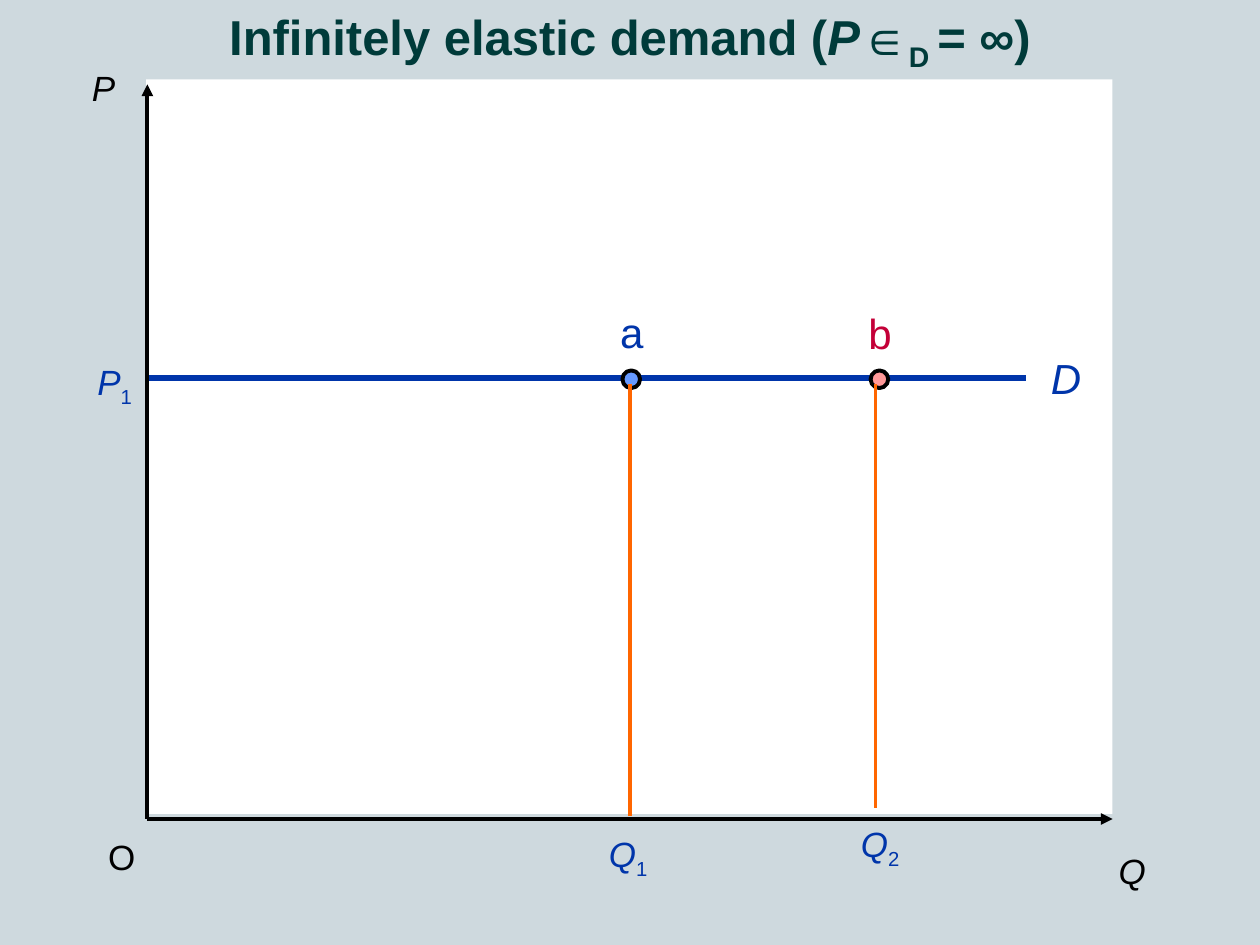
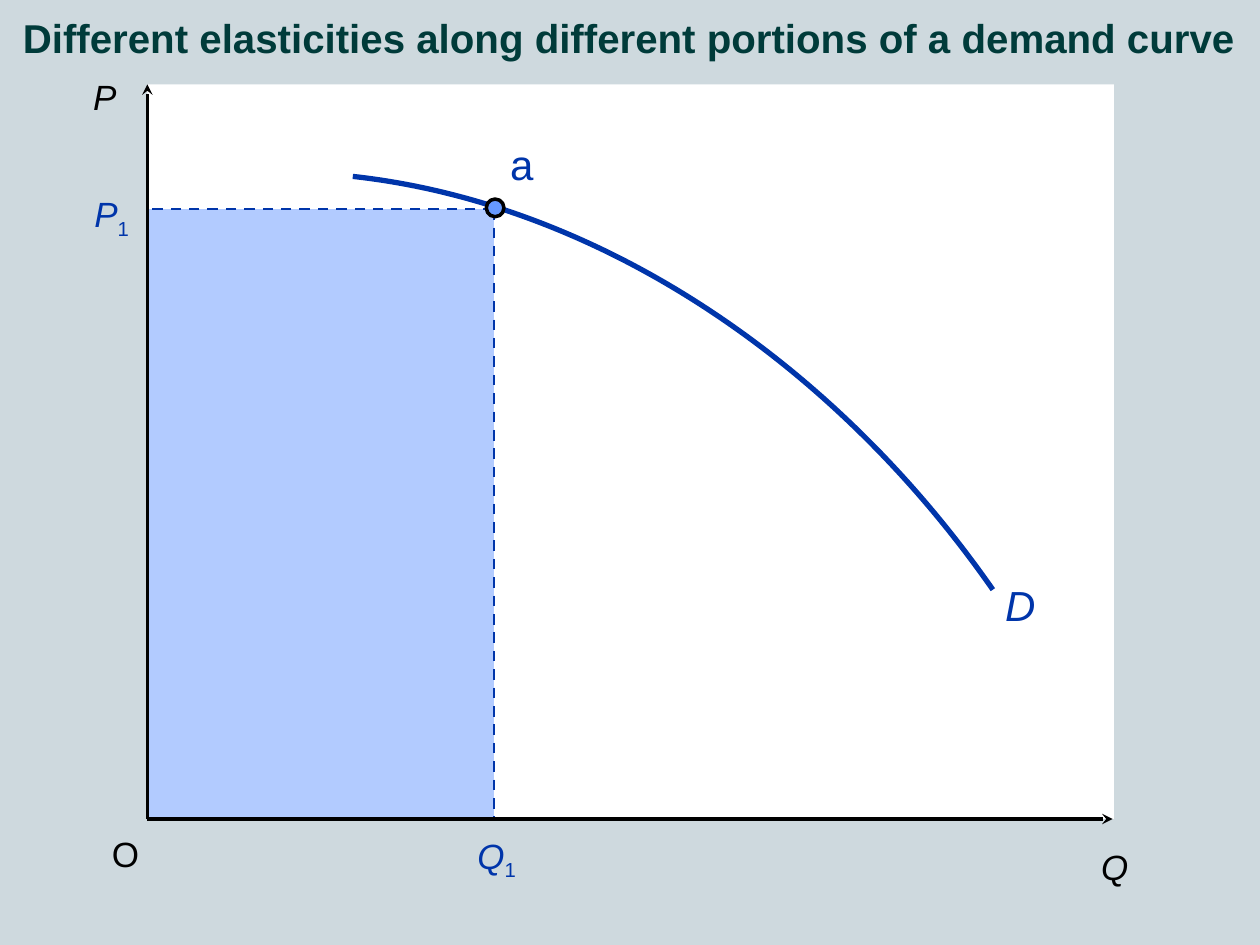
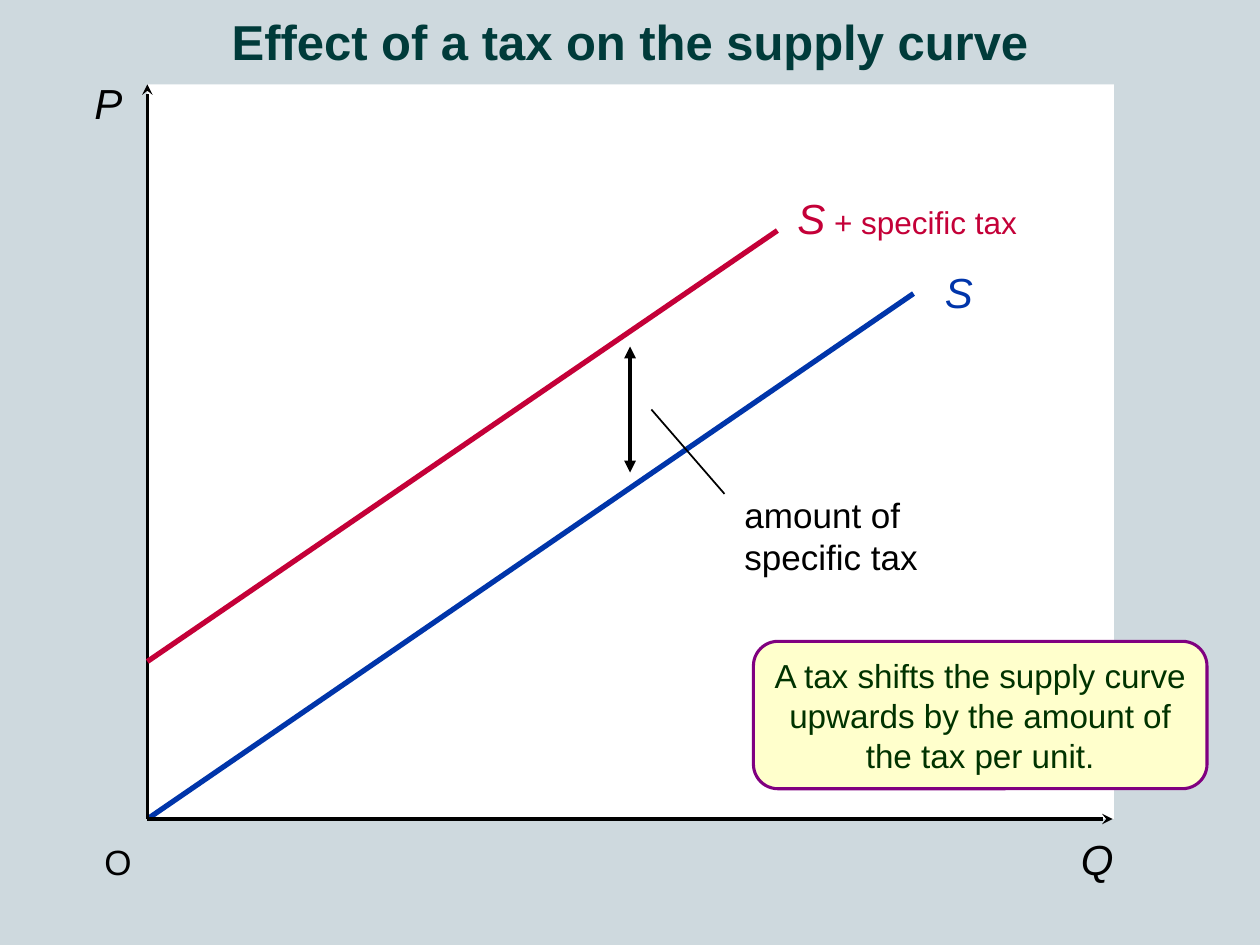
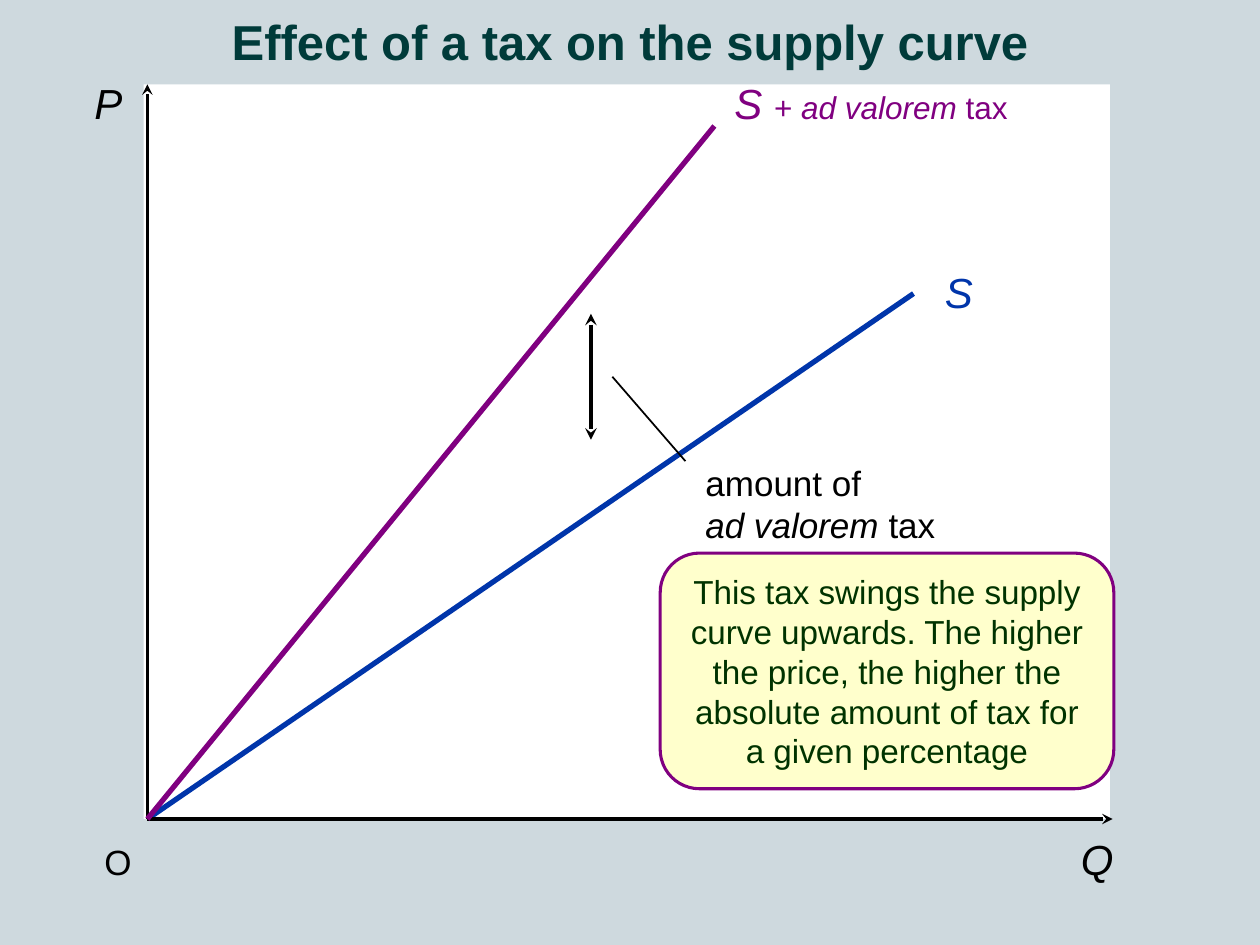
"""Build four slides of demand, supply and tax diagrams."""
from dataclasses import dataclass

from lxml.etree import SubElement
from pptx import Presentation
from pptx.dml.color import RGBColor as RGB
from pptx.enum.dml import MSO_LINE
from pptx.enum.shapes import MSO_CONNECTOR, MSO_SHAPE
from pptx.enum.text import MSO_ANCHOR, MSO_AUTO_SIZE as FIT, PP_ALIGN
from pptx.oxml.ns import qn
from pptx.util import Inches, Pt


@dataclass(frozen=True)
class Theme:
    """Hold the colours, type sizes and line weights of the deck."""
    font: str = "Arial"
    backdrop: str = "CED9DE"
    panel: str = "FFFFFF"
    title: str = "003B3A"
    ink: str = "000000"
    blue: str = "0035AA"
    red: str = "C40038"
    purple: str = "800080"
    orange: str = "FF6600"
    blue_tint: str = "6699FF"
    red_tint: str = "FF9999"
    note_fill: str = "FFFFCC"
    note_text: str = "003300"
    title_size: int = 28
    long_title_size: int = 23
    curve_size: int = 24
    label_size: int = 20
    note_size: int = 19
    detail_size: int = 18
    curve_weight: float = 3
    axis_weight: float = 2
    strong_weight: float = 2.25
    note_weight: float = 1.75
    dash_weight: float = 1.5
    leader_weight: float = 1


THEME = Theme()
ITALIC = {"italic": True}
DETAIL = {"size": Pt(THEME.detail_size)}
SUBSCRIPT = {"baseline": "-25000"}
LEFT, RIGHT, TOP, BASE = 1.17, 8.83, 0.67, 6.5
PANEL_SIZE = (7.67, 5.83)
DOT = 0.14


def new_slide(deck):
    """Add a blank slide with the shared backdrop."""
    slide = deck.slides.add_slide(deck.slide_layouts[6])
    fill = slide.background.fill
    fill.solid()
    fill.fore_color.rgb = RGB.from_string(THEME.backdrop)
    return slide


def write(frame, paragraphs, size, color, align=PP_ALIGN.LEFT, **shared):
    """Fill a text frame from paragraphs of (text, format) runs."""
    for index, pieces in enumerate(paragraphs):
        paragraph = frame.paragraphs[0] if index == 0 else frame.add_paragraph()
        paragraph.alignment = align
        for text, extra in pieces:
            run = paragraph.add_run()
            run.text = text
            formats = {"name": THEME.font, "size": Pt(size), **shared, **extra}
            baseline = formats.pop("baseline", None)
            for key, value in formats.items():
                setattr(run.font, key, value)
            run.font.color.rgb = RGB.from_string(color)
            if baseline:
                run.font._element.set("baseline", baseline)


def add_label(slide, at, paragraphs, size=THEME.label_size, color=THEME.ink,
              align=PP_ALIGN.LEFT, wrap=False):
    """Add a label that grows with its text."""
    frame = slide.shapes.add_textbox(*map(Inches, at)).text_frame
    frame.word_wrap = wrap
    frame.auto_size = FIT.SHAPE_TO_FIT_TEXT
    write(frame, paragraphs, size, color, align)


def add_curve_name(slide, at, letter, color=THEME.blue, style=ITALIC, align=PP_ALIGN.LEFT):
    """Name a curve or a point with one large letter."""
    add_label(slide, at, [[(letter, style)]], THEME.curve_size, color, align)


def add_value_name(slide, at, letter, number, align=PP_ALIGN.CENTER):
    """Name an axis value by an italic letter with a subscript."""
    add_label(slide, at, [[(letter, ITALIC), (number, SUBSCRIPT)]],
              color=THEME.blue, align=align)


def add_title(slide, pieces, height, size=THEME.title_size):
    """Add the bold, shadowed title across the top."""
    frame = slide.shapes.add_textbox(0, 0, Inches(10), Inches(height)).text_frame
    frame.word_wrap = True
    frame.vertical_anchor = MSO_ANCHOR.BOTTOM
    write(frame, [pieces], size, THEME.title, PP_ALIGN.CENTER, bold=True)
    for run in frame.paragraphs[0].runs:
        effects = SubElement(run.font._element, qn("a:effectLst"))
        run.font._element.find(qn("a:solidFill")).addnext(effects)
        shadow = SubElement(effects, qn("a:outerShdw"), dist="35921", dir="2700000")
        SubElement(shadow, qn("a:srgbClr"), val=THEME.ink)


def add_shape(slide, kind, at, fill, line=None, weight=0, opacity=None):
    """Add a filled preset shape, outlined when a line colour is given."""
    shape = slide.shapes.add_shape(kind, *map(Inches, at))
    shape.shadow.inherit = False
    shape.fill.solid()
    shape.fill.fore_color.rgb = RGB.from_string(fill)
    if opacity:
        color = shape._element.spPr.find(qn("a:solidFill")).find(qn("a:srgbClr"))
        SubElement(color, qn("a:alpha"), val=str(opacity * 1000))
    if line:
        shape.line.color.rgb = RGB.from_string(line)
        shape.line.width = Pt(weight)
    else:
        shape.line.fill.background()
    return shape


def add_dot(slide, x, y, fill, weight=THEME.strong_weight):
    """Mark a point on a curve, given its top left corner."""
    add_shape(slide, MSO_SHAPE.OVAL, (x, y, DOT, DOT), fill, THEME.ink, weight)


def add_line(slide, start, end, color, weight, head=None, tail=None, dash=None):
    """Draw a straight line with optional arrowheads and dashes."""
    line = slide.shapes.add_connector(MSO_CONNECTOR.STRAIGHT, *map(Inches, start + end))
    line.line.color.rgb = RGB.from_string(color)
    line.line.width = Pt(weight)
    if dash:
        line.line.dash_style = dash
    for tag, arrow in (("a:headEnd", head), ("a:tailEnd", tail)):
        if arrow:
            SubElement(line.line._get_or_add_ln(), qn(tag), type=arrow)
    SubElement(line._element.spPr, qn("a:effectLst"))


def add_bezier(slide, start, controls, color, weight):
    """Draw one open cubic curve through two controls to its end."""
    builder = slide.shapes.build_freeform(*map(Inches, start), scale=1.0)
    builder.add_line_segments([tuple(map(Inches, point)) for point in controls], close=False)
    curve = builder.convert_to_shape()
    outline = next(curve._element.iter(qn("a:path")))
    bend = SubElement(outline, qn("a:cubicBezTo"))
    for segment in outline.findall(qn("a:lnTo")):
        bend.append(segment[0])
        outline.remove(segment)
    curve.shadow.inherit = False
    curve.fill.background()
    curve.line.color.rgb = RGB.from_string(color)
    curve.line.width = Pt(weight)


def add_panel(slide, left=LEFT, top=TOP):
    """Add the white plotting area."""
    add_shape(slide, MSO_SHAPE.RECTANGLE, (left, top, *PANEL_SIZE), THEME.panel)


def add_axes(slide, arrow="stealth", weight=THEME.axis_weight):
    """Draw the price and quantity axes."""
    add_line(slide, (LEFT, TOP), (LEFT, BASE), THEME.ink, weight, head=arrow)
    add_line(slide, (LEFT, BASE), (RIGHT, BASE), THEME.ink, weight, tail=arrow)


def add_axis_names(slide, price, quantity, origin, size=THEME.label_size):
    """Name the axes P and Q and the origin O."""
    for letter, at in (("P", price), ("Q", quantity)):
        add_label(slide, at, [[(letter, ITALIC)]], size, wrap=True)
    add_label(slide, (*origin, 0.42, 0.43), [[("O", {})]])


def add_note(slide, at, text):
    """Add the rounded explanation box."""
    note = add_shape(slide, MSO_SHAPE.FLOWCHART_ALTERNATE_PROCESS, at,
                     THEME.note_fill, THEME.purple, THEME.note_weight)
    frame = note.text_frame
    frame.word_wrap = True
    frame.vertical_anchor = MSO_ANCHOR.MIDDLE
    write(frame, [[(text, {})]], THEME.note_size, THEME.note_text, PP_ALIGN.CENTER)


def add_tax_gap(slide, x, y, arrow, width, tax_name):
    """Mark the gap between the supply curves and name it."""
    add_line(slide, (x, y), (x, y + 1), THEME.ink, THEME.strong_weight, arrow, arrow)
    add_line(slide, (x + 0.17, y + 0.5), (x + 0.75, y + 1.17), THEME.ink, THEME.leader_weight)
    add_label(slide, (x + 0.81, y + 1.12, width, 0.77), [[("amount of", {})], tax_name])


def elastic_demand_slide(deck):
    """Show a horizontal demand curve with two points."""
    slide = new_slide(deck)
    price, center = 3, PP_ALIGN.CENTER
    add_panel(slide, 1.16, 0.63)
    add_line(slide, (LEFT, price), (8.14, price), THEME.blue, THEME.curve_weight)
    add_axes(slide, "triangle", THEME.strong_weight)
    add_axis_names(slide, (0.63, 0.48, 0.52, 0.43), (8.78, 6.69, 0.51, 0.43), (0.76, 6.58))
    add_value_name(slide, (0.67, 2.81, 0.48, 0.48), "P", "1")
    add_curve_name(slide, (8.24, 2.75, 0.44, 0.5), "D", align=center)
    points = (
        ("a", "1", (4.82, 2.38), 4.94, (4.73, 6.56), (5, 6.48), THEME.blue, THEME.blue_tint),
        ("b", "2", (6.79, 2.39), 6.91, (6.73, 6.48), (6.95, 6.41), THEME.red, THEME.red_tint),
    )
    for letter, number, name_at, dot_x, value_at, foot, color, tint in points:
        add_curve_name(slide, (*name_at, 0.39, 0.5), letter, color, {}, center)
        add_dot(slide, dot_x, 2.94, tint)
        add_line(slide, foot, (foot[0], price + 0.05), THEME.orange, THEME.axis_weight)
        add_value_name(slide, (*value_at, 0.51, 0.48), "Q", number)
    add_title(slide, [("Infinitely elastic demand (", {}), ("P", ITALIC), ("∈", {}),
                      ("D ", SUBSCRIPT), ("= ∞)", {})], 0.63)


def demand_curve_slide(deck):
    """Show a bent demand curve with the revenue area at one point."""
    slide = new_slide(deck)
    quantity, price = 3.92, 1.66
    add_panel(slide)
    add_shape(slide, MSO_SHAPE.RECTANGLE, (1.18, price, quantity - 1.18, BASE - price),
              THEME.blue_tint, opacity=50)
    for end in ((LEFT, price), (quantity, BASE)):
        add_line(slide, (quantity, price), end, THEME.blue, THEME.dash_weight,
                 dash=MSO_LINE.DASH)
    add_title(slide, [("Different elasticities along different portions of a demand curve", {})],
              0.54, THEME.long_title_size)
    add_bezier(slide, (2.8, 1.4), [(4.71, 1.61), (6.59, 2.83), (7.88, 4.68)],
               THEME.blue, THEME.curve_weight)
    add_axes(slide)
    add_axis_names(slide, (0.64, 0.55, 0.53, 0.43), (8.64, 6.66, 0.53, 0.43), (0.79, 6.56))
    add_value_name(slide, (0.65, 1.48, 0.48, 0.48), "P", "1", PP_ALIGN.LEFT)
    add_value_name(slide, (3.69, 6.57, 0.51, 0.48), "Q", "1", PP_ALIGN.LEFT)
    add_curve_name(slide, (3.95, 1.05, 0.39, 0.5), "a", style={})
    add_dot(slide, 3.86, 1.58, THEME.blue_tint, THEME.axis_weight)
    add_curve_name(slide, (7.88, 4.55, 0.44, 0.5), "D")


def tax_slide(deck, panel_left, taxed, color, taxed_at, taxed_name, note_at, note, gap):
    """Show the supply curve before and after a tax."""
    slide = new_slide(deck)
    add_panel(slide, panel_left)
    add_line(slide, (LEFT, BASE), (7.25, 2.33), THEME.blue, THEME.curve_weight)
    add_axes(slide)
    add_line(slide, *taxed, color, THEME.curve_weight)
    add_label(slide, taxed_at, [taxed_name], THEME.curve_size, color)
    add_curve_name(slide, (7.4, 2.07, 0.42, 0.5), "S")
    add_axis_names(slide, (0.65, 0.57, 0.52, 0.5), (8.48, 6.57, 0.55, 0.5),
                   (0.73, 6.62), THEME.curve_size)
    add_title(slide, [("Effect of a tax on the supply curve", {})], 0.61)
    add_note(slide, note_at, note)
    add_tax_gap(slide, *gap)


def main():
    """Build and save the deck."""
    deck = Presentation()
    deck.slide_width, deck.slide_height = Inches(10), Inches(7.5)
    elastic_demand_slide(deck)
    demand_curve_slide(deck)
    tax_slide(
        deck, LEFT, ((LEFT, 5.25), (6.17, 1.83)), THEME.red, (6.23, 1.48, 1.95, 0.5),
        [("S", ITALIC), (" + specific tax", DETAIL)], (5.98, 5.09, 3.6, 1.17),
        "A tax shifts the supply curve upwards by the amount of the tax per unit.",
        (5, 2.75, "triangle", 1.58, [("specific tax", {})]))
    tax_slide(
        deck, 1.14, ((LEFT, BASE), (5.67, 1)), THEME.purple, (5.73, 0.57, 2.37, 0.5),
        [("S ", ITALIC), ("+ ", DETAIL), ("ad valorem", {**DETAIL, **ITALIC}), (" tax", DETAIL)],
        (5.24, 4.39, 3.6, 1.87),
        "This tax swings the supply curve upwards. The higher the price, "
        "the higher the absolute amount of tax for a given percentage",
        (4.69, 2.49, "stealth", 2.03, [("ad valorem", ITALIC), (" tax", {})]))
    deck.save("out.pptx")


if __name__ == "__main__":
    main()
